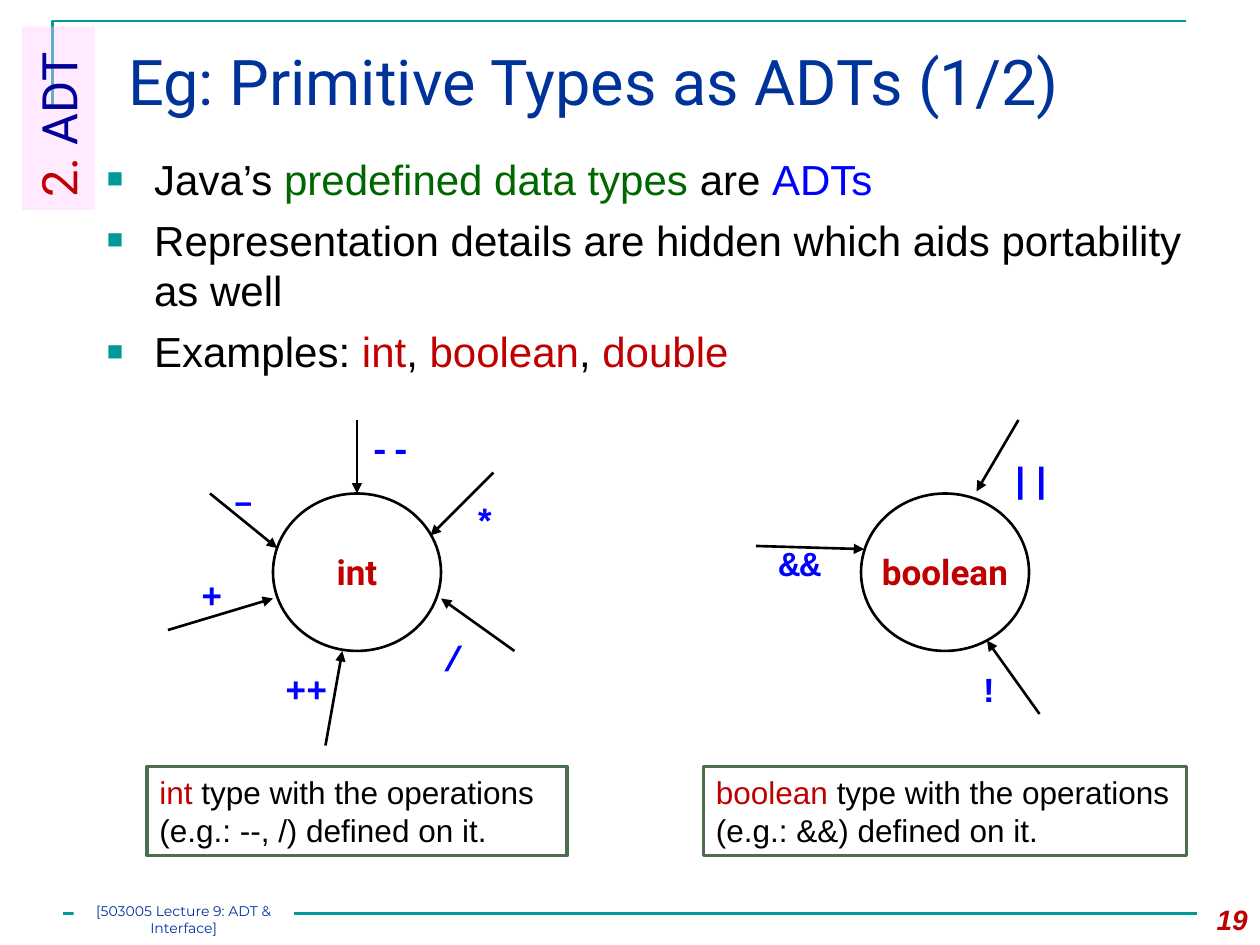
from lxml import etree
from pptx import Presentation, util as u
from pptx.dml.color import RGBColor
from pptx.enum import shapes as sh, text as tx
from pptx.oxml.ns import qn

SCALE = 7620  # EMU per px, 120 px to the inch
BLACK = RGBColor(0x00, 0x00, 0x00)
WHITE = RGBColor(0xFF, 0xFF, 0xFF)
TEAL = RGBColor(0x00, 0x99, 0x99)
NAVY = RGBColor(0x00, 0x33, 0x99)
DEEP_BLUE = RGBColor(0x00, 0x00, 0x99)
BLUE = RGBColor(0x00, 0x00, 0xFF)
GREEN = RGBColor(0x00, 0x66, 0x00)
RED = RGBColor(0xC0, 0x00, 0x00)
PINK = RGBColor(0xFF, 0xCC, 0xFF)
FRAME = RGBColor(0x4C, 0x6D, 0x4E)
LEFT, CENTER, RIGHT = tx.PP_ALIGN.LEFT, tx.PP_ALIGN.CENTER, tx.PP_ALIGN.RIGHT
TOP, MIDDLE = tx.MSO_ANCHOR.TOP, tx.MSO_ANCHOR.MIDDLE


def px(*values):
    return [u.Emu(value * SCALE) for value in values]


def add_bullet(para):
    props = para._p.get_or_add_pPr()
    props.set("marL", str(45 * SCALE))
    props.set("indent", str(-45 * SCALE))
    color = etree.SubElement(props, qn("a:buClr"))
    etree.SubElement(color, qn("a:srgbClr"), val=str(TEAL))
    etree.SubElement(props, qn("a:buSzPct"), val="65000")
    etree.SubElement(props, qn("a:buFont"), typeface="Arial")
    etree.SubElement(props, qn("a:buChar"), char="■")


def write(shape, paragraphs, size=18, font="Arial", bold=False, italic=False,
          align=LEFT, anchor=TOP, wrap=True, grow=False, bullets=False,
          gap=0, inset=None):
    """Fill a shape with paragraphs, each a list of (text, colour) spans."""
    frame = shape.text_frame
    frame.word_wrap = wrap
    frame.vertical_anchor = anchor
    frame.auto_size = (tx.MSO_AUTO_SIZE.SHAPE_TO_FIT_TEXT if grow
                       else tx.MSO_AUTO_SIZE.NONE)
    if inset is not None:
        frame.margin_left = frame.margin_right = inset
        frame.margin_top = frame.margin_bottom = inset
    for index, spans in enumerate(paragraphs):
        para = frame.add_paragraph() if index else frame.paragraphs[0]
        if bullets:
            add_bullet(para)
        para.alignment = align
        if index:
            para.space_before = u.Pt(gap)
        for words, color in spans:
            span = para.add_run()
            span.text = words
            span.font.size, span.font.name = u.Pt(size), font
            span.font.bold, span.font.italic = bold, italic
            span.font.color.rgb = color


def add_text(parent, box, paragraphs, **style):
    write(parent.shapes.add_textbox(*px(*box)), paragraphs, **style)


def add_box(parent, kind, box, fill=None, line=None, width=1.5):
    shape = parent.shapes.add_shape(kind, *px(*box))
    shape.shadow.inherit = False
    if fill is None:
        shape.fill.background()
    else:
        shape.fill.solid()
        shape.fill.fore_color.rgb = fill
    if line is None:
        shape.line.fill.background()
    else:
        shape.line.color.rgb = line
        shape.line.width = u.Pt(width)
    return shape


def add_line(parent, start, end, color, arrow=False):
    line = parent.shapes.add_connector(sh.MSO_CONNECTOR.STRAIGHT, *px(*start, *end))
    line.line.color.rgb = color
    line.line.width = u.Pt(1.5)
    if arrow:
        etree.SubElement(line.line._get_or_add_ln(), qn("a:tailEnd"), type="triangle")
    etree.SubElement(line._element.spPr, qn("a:effectLst"))


def draw_rules(page):
    """Corner rule at the top and straight rule at the bottom."""
    builder = page.shapes.build_freeform(50, 100, scale=SCALE)
    builder.add_line_segments([(50, 20), (1130, 20)], close=False)
    corner = builder.convert_to_shape()
    corner.shadow.inherit = False
    corner.fill.background()
    corner.line.color.rgb = TEAL
    corner.line.width = u.Pt(1.5)
    add_line(page, (60, 870), (1140, 870), TEAL)


def draw_title(page, box, words):
    title = page.shapes.title
    title.left, title.top, title.width, title.height = px(*box)
    write(title, [[(words, NAVY)]], size=36, font="Roboto", anchor=MIDDLE)
    title.text_frame.paragraphs[0].line_spacing = 0.9


def draw_section_tab(page, box):
    tab = add_box(page, sh.MSO_SHAPE.RECTANGLE, box, fill=PINK)
    tab.rotation = 270
    color = tab.fill._xPr.find(".//" + qn("a:srgbClr"))
    etree.SubElement(color, qn("a:alpha"), val="40000")
    write(tab, [[("2. ", RED), ("ADT", DEEP_BLUE)]], size=28, font="Roboto", grow=True)


def draw_type(page, left, top, name, arrows, labels):
    """A type in a circle, with its operations as arrows around it."""
    group = page.shapes.add_group_shape()
    for words, x, y in labels:
        add_text(group, (left + x, top + y, 23 + 21 * len(words), 53),
                 [[(words, BLUE)]], size=20, font="Courier New", bold=True,
                 wrap=False, grow=True)
    for x1, y1, x2, y2 in arrows:
        add_line(group, (left + x1, top + y1), (left + x2, top + y2), BLACK, arrow=True)
    add_box(group, sh.MSO_SHAPE.OVAL, (left + 100, top + 70, 160, 150), line=BLACK)
    add_text(group, (left + 102, top + 118, 156, 53), [[(name, RED)]], size=20,
             font="Roboto", bold=True, align=CENTER, grow=True)


def draw_caption(page, box, spans):
    caption = add_box(page, sh.MSO_SHAPE.RECTANGLE, box, WHITE, FRAME, 2)
    write(caption, [spans], size=18, grow=True)


def draw_footer(page, label_box, number_box):
    label = add_box(page, sh.MSO_SHAPE.RECTANGLE, label_box, fill=WHITE)
    write(label, [[("[503005 Lecture 9: ADT & Interface]", NAVY)]], size=8,
          font="Montserrat", align=CENTER, inset=0)
    add_text(page, number_box, [[("19", RED)]], size=16, bold=True, italic=True,
             align=RIGHT, anchor=MIDDLE)


def main():
    deck = Presentation()
    deck.slide_width, deck.slide_height = px(1200, 900)
    page = deck.slides.add_slide(deck.slide_layouts[5])
    draw_rules(page)
    draw_title(page, (110, 30, 1060, 103), "Eg: Primitive Types as ADTs (1/2)")
    draw_section_tab(page, (-32, 78, 175, 69))
    add_text(page, (90, 140, 1050, 240), [
        [("Java’s ", BLACK), ("predefined data types ", GREEN), ("are ", BLACK),
         ("ADTs", BLUE)],
        [("Representation details are hidden which aids portability as well", BLACK)],
        [("Examples: ", BLACK), ("int", RED), (", ", BLACK), ("boolean", RED),
         (", ", BLACK), ("double", RED)],
    ], size=24, bullets=True, gap=6)
    draw_type(page, 720, 400, "boolean",
              [(250, 0, 210, 68), (270, 280, 220, 210), (0, 120, 103, 123)],
              [("&&", 10, 110), ("!", 200, 230), ("||", 230, 30)])
    draw_type(page, 160, 400, "int",
              [(310, 50, 250, 110), (330, 220, 260, 170), (40, 70, 104, 122),
               (0, 200, 100, 170), (150, 310, 166, 220), (180, 0, 180, 70)],
              [("+", 20, 140), ("–", 50, 50), ("*", 280, 70), ("++", 100, 230),
               ("/", 250, 200), ("--", 180, 0)])
    draw_caption(page, (140, 730, 400, 85),
                 [("int", RED),
                  (" type with the operations (e.g.: --, /) defined on it.", BLACK)])
    draw_caption(page, (670, 730, 460, 85),
                 [("boolean ", RED),
                  ("type with the operations (e.g.: &&) defined on it.", BLACK)])
    draw_footer(page, (70, 860, 210, 20), (1120, 852, 80, 48))
    deck.save("out.pptx")


if __name__ == "__main__":
    main()
